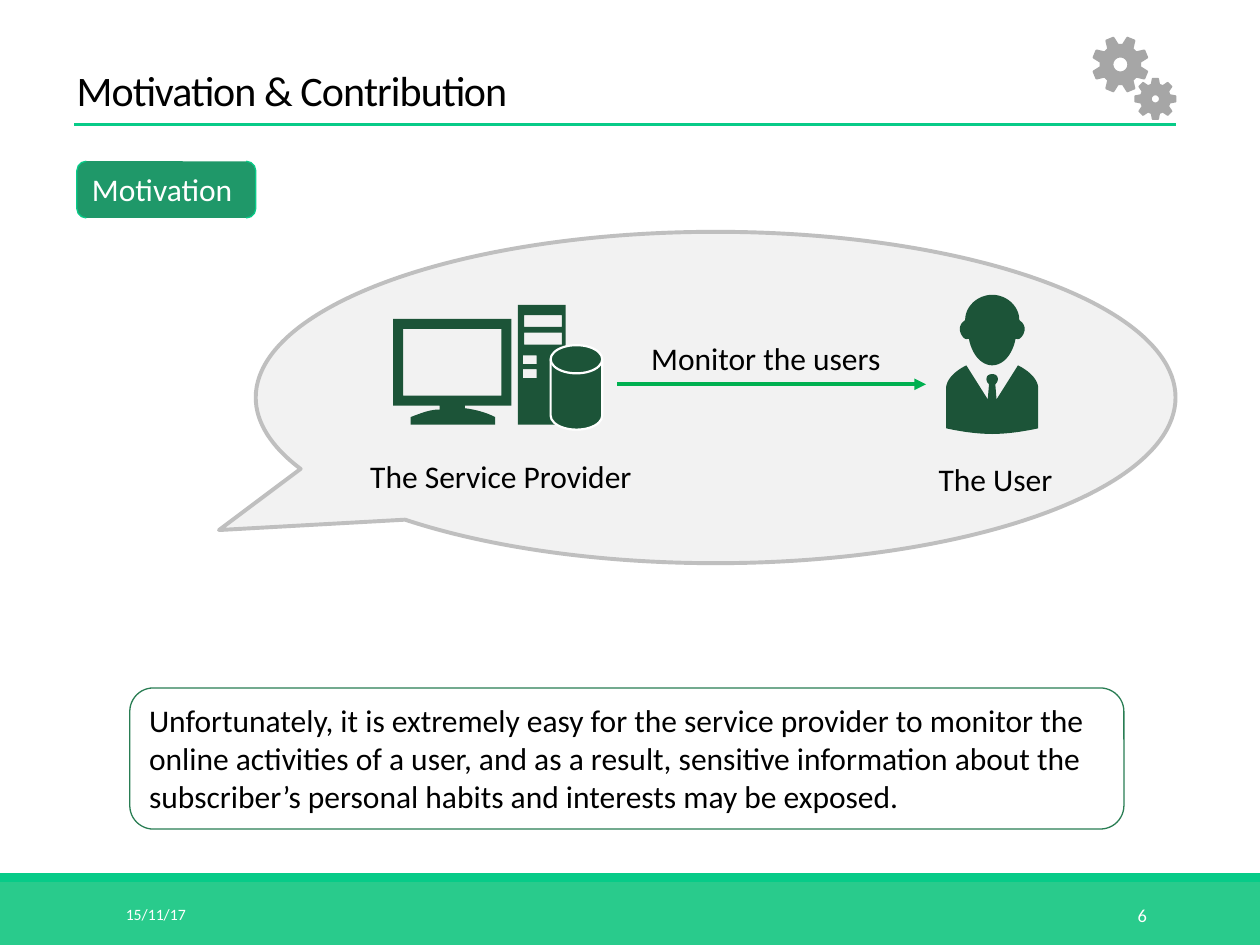
import math
from dataclasses import dataclass
from typing import Optional

import pptx
import pptx.dml.color
import pptx.enum.shapes
import pptx.enum.text
import pptx.oxml
import pptx.oxml.ns
import pptx.util

RGBColor = pptx.dml.color.RGBColor
Shape = pptx.enum.shapes.MSO_SHAPE
Anchor = pptx.enum.text.MSO_ANCHOR
Align = pptx.enum.text.PP_ALIGN

BLACK = RGBColor(0x00, 0x00, 0x00)
WHITE = RGBColor(0xFF, 0xFF, 0xFF)
MINT = RGBColor(0x29, 0xCB, 0x8C)
EMERALD = RGBColor(0x07, 0xCB, 0x88)
LABEL_GREEN = RGBColor(0x1F, 0x98, 0x69)
FRAME_GREEN = RGBColor(0x29, 0x7D, 0x53)
ICON_GREEN = RGBColor(0x1C, 0x54, 0x38)
ARROW_GREEN = RGBColor(0x00, 0xB0, 0x50)
PALE_GREY = RGBColor(0xF2, 0xF2, 0xF2)
BORDER_GREY = RGBColor(0xBF, 0xBF, 0xBF)
GEAR_GREY = RGBColor(0xA6, 0xA6, 0xA6)

FONT = "Calibri"
COLUMNS = 100
CELL = pptx.util.Inches(10) // COLUMNS
USER_AXIS = 78.75

Point = tuple[float, float]
Contour = list[Point]


@dataclass(frozen=True)
class Area:
    column: float
    row: float
    columns: float
    rows: float

    def lengths(self) -> list[int]:
        return [round(n * CELL) for n in (self.column, self.row, self.columns, self.rows)]

    def corners(self) -> Contour:
        right, bottom = self.column + self.columns, self.row + self.rows
        return [(self.column, self.row), (right, self.row), (right, bottom), (self.column, bottom)]


@dataclass(frozen=True)
class Panel:
    kind: Shape
    area: Area
    fill: Optional[RGBColor] = None
    line: Optional[RGBColor] = None
    weight: float = 0


@dataclass(frozen=True)
class Caption:
    text: str
    area: Area
    size: float = 18
    color: RGBColor = BLACK
    anchor: Anchor = Anchor.TOP
    align: Align = Align.LEFT
    wrap: bool = False


@dataclass(frozen=True)
class Gear:
    center: Point
    tip: float
    root: float
    hole: float
    turn: float


def add_panel(shapes, panel: Panel):
    shape = shapes.add_shape(panel.kind, *panel.area.lengths())
    shape.shadow.inherit = False
    if panel.fill is None:
        shape.fill.background()
    else:
        shape.fill.solid()
        shape.fill.fore_color.rgb = panel.fill
    if panel.line is None:
        shape.line.fill.background()
    else:
        shape.line.color.rgb = panel.line
        shape.line.width = pptx.util.Pt(panel.weight)
    return shape


def write(box, caption: Caption):
    frame = box.text_frame
    frame.word_wrap = caption.wrap
    frame.vertical_anchor = caption.anchor
    para = frame.paragraphs[0]
    para.text = caption.text
    para.alignment = caption.align
    para.font.name = FONT
    para.font.size = pptx.util.Pt(caption.size)
    para.font.color.rgb = caption.color
    return para


def add_caption(shapes, caption: Caption):
    return write(shapes.add_textbox(*caption.area.lengths()), caption)


def add_rule(shapes, start: Point, end: Point, color: RGBColor, weight: float):
    ends = [round(n * CELL) for n in (*start, *end)]
    rule = shapes.add_connector(pptx.enum.shapes.MSO_CONNECTOR.STRAIGHT, *ends)
    rule.line.color.rgb = color
    rule.line.width = pptx.util.Pt(weight)
    rule._element.spPr.append(pptx.oxml.parse_xml(
        f"<a:effectLst {pptx.oxml.ns.nsdecls('a')}/>"))
    return rule


def add_arrowhead(rule) -> None:
    rule.line._get_or_add_ln().append(pptx.oxml.parse_xml(
        f'<a:tailEnd {pptx.oxml.ns.nsdecls("a")} type="triangle"/>'))


def add_outline(shapes, contours: list[Contour], color: RGBColor) -> None:
    scaled = [[(x * CELL, y * CELL) for x, y in contour] for contour in contours]
    builder = shapes.build_freeform(*scaled[0][0])
    for index, contour in enumerate(scaled):
        if index:
            builder.move_to(*contour[0])
        builder.add_line_segments(contour[1:], close=True)
    shape = builder.convert_to_shape()
    shape.shadow.inherit = False
    shape.fill.solid()
    shape.fill.fore_color.rgb = color
    shape.line.fill.background()


def curve(a: Point, b: Point, c: Point, d: Point, steps: int = 12) -> Contour:
    def at(t: float) -> Point:
        weights = ((1 - t) ** 3, 3 * t * (1 - t) ** 2, 3 * t ** 2 * (1 - t), t ** 3)
        return (sum(w * p[0] for w, p in zip(weights, (a, b, c, d))),
                sum(w * p[1] for w, p in zip(weights, (a, b, c, d))))
    return [at(step / steps) for step in range(steps + 1)]


def polar(center: Point, radius: float, degrees: float) -> Point:
    angle = math.radians(degrees)
    return center[0] + radius * math.cos(angle), center[1] + radius * math.sin(angle)


def add_gear(shapes, gear: Gear) -> None:
    profile = ((-17, gear.root), (-10, gear.tip * 0.97), (-8, gear.tip),
               (8, gear.tip), (10, gear.tip * 0.97), (17, gear.root))
    teeth = [polar(gear.center, radius, gear.turn + 45 * tooth + offset)
             for tooth in range(8) for offset, radius in profile]
    hole = [polar(gear.center, gear.hole, -15 * step) for step in range(24)]
    add_outline(shapes, [teeth, hole], GEAR_GREY)


def mirrored(half: Contour) -> Contour:
    return half + [(2 * USER_AXIS - x, y) for x, y in reversed(half)]


def add_computer(shapes) -> None:
    stand = (curve((36.9, 32.4), (37.7, 32.5), (38.5, 32.7), (39.3, 33.1))
             + [(39.3, 33.7), (32.6, 33.7)]
             + curve((32.6, 33.1), (33.4, 32.8), (34.1, 32.5), (34.9, 32.5)))
    monitor = [(31.2, 25.3), (40.6, 25.3), (40.6, 32.2), (36.9, 32.2),
               *stand, (34.9, 32.2), (31.2, 32.2)]
    screen = Area(32, 26.1, 7.8, 5.3)
    tower = Area(41.1, 24.2, 3.8, 9.5)
    drives = [Area(41.6, row, 3, 0.95) for row in (25, 26.4)]
    buttons = [Area(41.5, row, 1.1, 0.7) for row in (28.2, 29.3)]
    cutouts = [area.corners()[::-1] for area in (screen, *drives, *buttons)]
    add_outline(shapes, [monitor, tower.corners(), *cutouts], ICON_GREEN)
    add_panel(shapes, Panel(Shape.FLOWCHART_MAGNETIC_DISK, Area(43.7, 27.4, 4.1, 6.7),
                            ICON_GREEN, WHITE, 1.25))


def add_user(shapes) -> None:
    suit = (curve((USER_AXIS, 34.45), (80.5, 34.45), (82.4, 34), (82.4, 34))
            + curve((82.4, 30.7), (82.3, 30), (81.6, 29.4), (80.8, 29))
            + [(79.1, 31.7), (79, 30.5)]
            + curve((79, 30.5), (79.1, 30.4), (79.2, 30.3), (79.2, 30.1))
            + curve((79.2, 30.1), (79.2, 29.8), (79, 29.7), (USER_AXIS, 29.7)))
    head = (curve((USER_AXIS, 29), (79.7, 29), (80.4, 28), (80.6, 26.9))
            + curve((80.7, 26.9), (80.9, 27), (81.2, 26.7), (81.3, 26.3))
            + curve((81.3, 26.3), (81.4, 26), (81.2, 25.6), (81, 25.5))
            + curve((80.9, 25.4), (80.9, 24.3), (79.9, 23.4), (USER_AXIS, 23.4)))
    for half in (suit, head):
        add_outline(shapes, [mirrored(half)], ICON_GREEN)


def main() -> None:
    deck = pptx.Presentation()
    deck.slide_width, deck.slide_height = COLUMNS * CELL, 75 * CELL
    page = deck.slides.add_slide(deck.slide_layouts[6])
    shapes = page.shapes

    add_panel(shapes, Panel(Shape.RECTANGLE, Area(0, 70, COLUMNS, 5), MINT))
    add_panel(shapes, Panel(Shape.RECTANGLE, Area(0, 69.3, COLUMNS, 0.7), EMERALD))
    callout = add_panel(shapes, Panel(Shape.OVAL_CALLOUT, Area(20.3, 18.4, 73, 26.3),
                                      PALE_GREY, BORDER_GREY, 2.25))
    callout.adjustments[0], callout.adjustments[1] = -0.54, 0.4

    add_caption(shapes, Caption("15/11/17", Area(9, 70.6, 20.3, 4), 9, WHITE,
                                Anchor.MIDDLE, wrap=True))
    add_caption(shapes, Caption("6", Area(81.2, 70.6, 10.8, 4), 10.5, WHITE,
                                Anchor.MIDDLE, Align.RIGHT, True))
    title = add_caption(shapes, Caption("Motivation & Contribution", Area(5.1, 3.6, 75, 6),
                                        24, anchor=Anchor.BOTTOM, wrap=True))
    title.line_spacing = 0.85
    title.runs[0].font._element.set("spc", "-50")
    add_rule(shapes, (5.9, 9.9), (93.3, 9.9), EMERALD, 1.5)

    gears = shapes.add_group_shape().shapes
    add_gear(gears, Gear((88.92, 5.12), 2.28, 1.65, 0.55, 22.5))
    add_gear(gears, Gear((91.7, 7.85), 1.68, 1.24, 0.28, 0))

    summary = Panel(Shape.ROUNDED_RECTANGLE, Area(10.3, 54.6, 78.9, 11.2), None, FRAME_GREEN, 0.75)
    write(add_panel(shapes, summary), Caption(
        "Unfortunately, it is extremely easy for the service provider to monitor the online "
        "activities of a user, and as a result, sensitive information about the subscriber’s "
        "personal habits and interests may be exposed.", summary.area, wrap=True))
    heading = Panel(Shape.DOUBLE_BRACKET, Area(6.1, 12.8, 14.2, 4.5), LABEL_GREEN, EMERALD, 0.75)
    write(add_panel(shapes, heading), Caption("Motivation", heading.area, color=WHITE, wrap=True))

    add_computer(shapes.add_group_shape().shapes)
    add_user(shapes.add_group_shape().shapes)
    add_arrowhead(add_rule(shapes, (49, 30.5), (73.5, 30.5), ARROW_GREEN, 2.25))
    for caption in (Caption("The Service Provider", Area(28.4, 35.8, 23, 4)),
                    Caption("The User", Area(73.5, 36, 11.2, 4)),
                    Caption("Monitor the users", Area(50.7, 26.4, 20.4, 4))):
        add_caption(shapes, caption)
    deck.save("out.pptx")


if __name__ == "__main__":
    main()
